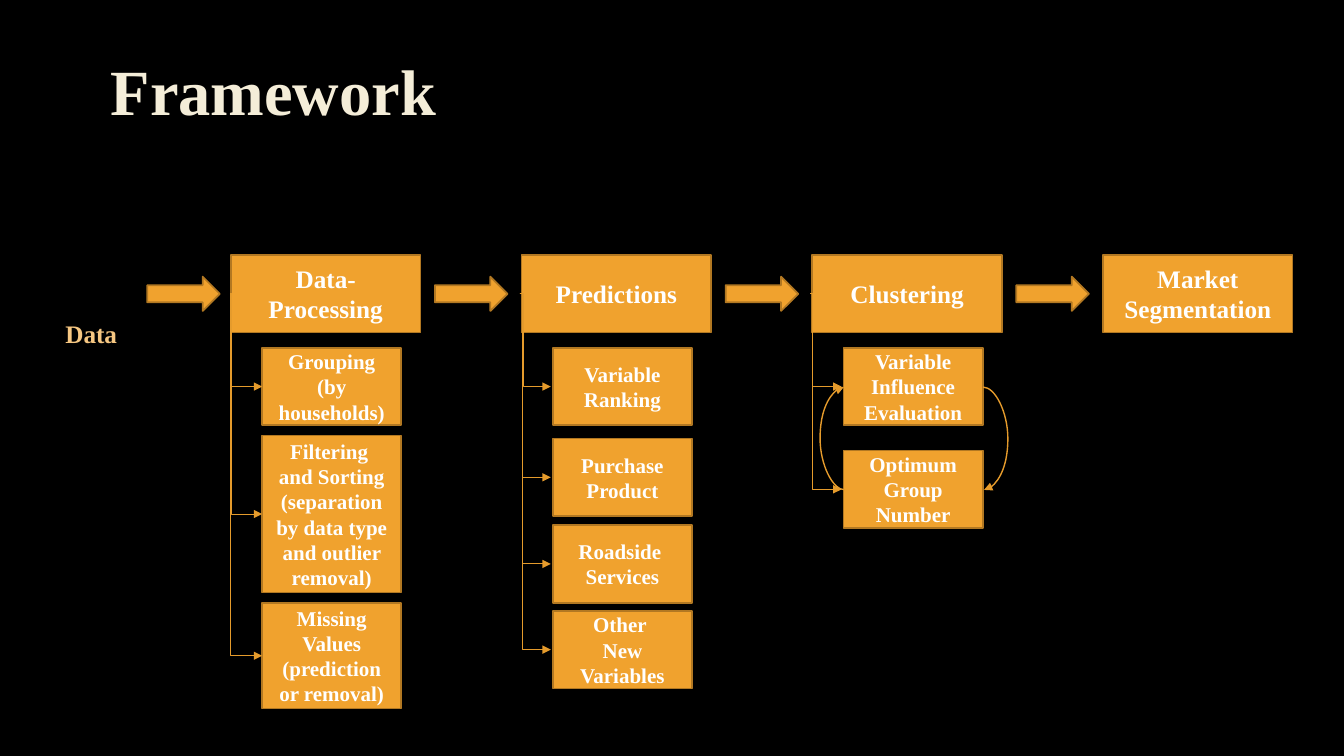
from lxml import etree
from pptx import Presentation
from pptx.dml.color import RGBColor
from pptx.enum.shapes import MSO_CONNECTOR, MSO_SHAPE
from pptx.enum.text import MSO_ANCHOR, PP_ALIGN
from pptx.oxml.ns import qn
from pptx.util import Inches, Pt

FONT = "Times New Roman"
AMBER, BROWN, LINE = "F0A22E", "B27822", "E59B2C"
STAGE_TOP, STAGE_WIDTH, STAGE_HEIGHT = 2.53, 1.88, 0.77
STAGE_LEFT, STAGE_PITCH = 2.29, (10.94 - 2.29) / 3
STEP_INDENT, STEP_WIDTH = 0.31, 1.38
ARROW_WIDTH, ARROW_HEIGHT = 0.72, 0.34

# Each stage: name, gap before it, connector nudge, connector bends, steps (text, top, height).
STAGES = [
    ("Data-Processing", 0.83, 0, [0.02, 0.02, -0.02], [
        ("Grouping (by households)", 3.45, 0.77),
        ("Filtering \vand Sorting (separation by data type and outlier removal)", 4.32, 1.56),
        ("Missing Values (prediction or removal)", 5.98, 1.05)]),
    ("Predictions", 0.86, 0.02, [0.13, 0.1, 0.1, 0.1], [
        ("Variable Ranking", 3.45, 0.77),
        ("Purchase Product", 4.35, 0.77),
        ("Roadside \vServices", 5.21, 0.77),
        ("Other \vNew Variables", 6.06, 0.77)]),
    ("Clustering", 0.86, 0.02, [0.07, 0.07], [
        ("Variable Influence\vEvaluation", 3.45, 0.77),
        ("Optimum\vGroup\vNumber", 4.47, 0.77)]),
    ("Market Segmentation", 0.86, 0, [], []),
]


def color(value):
    """Turn a hex string into a colour."""
    return RGBColor.from_string(value)


def write(shape, text, size, ink, align):
    """Put one bold paragraph into a shape and return it."""
    frame = shape.text_frame
    frame.word_wrap = True
    paragraph = frame.paragraphs[0]
    paragraph.text = text
    paragraph.alignment = align
    font = paragraph.font
    font.name, font.size, font.bold = FONT, Pt(size), True
    font.color.rgb = color(ink)
    return paragraph


def add_label(page, left, top, width, height, text, size, ink, align):
    """Add a text box and return it with its paragraph."""
    box = page.shapes.add_textbox(Inches(left), Inches(top), Inches(width), Inches(height))
    return box, write(box, text, size, ink, align)


def add_block(page, kind, left, top, width, height):
    """Add an amber shape with a brown outline."""
    block = page.shapes.add_shape(kind, Inches(left), Inches(top), Inches(width), Inches(height))
    block.shadow.inherit = False
    block.fill.solid()
    block.fill.fore_color.rgb = color(AMBER)
    block.line.color.rgb = color(BROWN)
    block.line.width = Pt(1.25)
    return block


def add_card(page, left, top, width, height, text, size):
    """Add a rectangle with centred white text."""
    card = add_block(page, MSO_SHAPE.RECTANGLE, left, top, width, height)
    card.text_frame.vertical_anchor = MSO_ANCHOR.MIDDLE
    write(card, text, size, "FFFFFF", PP_ALIGN.CENTER)


def add_link(page, kind, start, end, bend, weight):
    """Add a connector that bends at a share of its width and ends in an arrowhead."""
    link = page.shapes.add_connector(kind, *map(Inches, start + end))
    link.line.color.rgb = color(LINE)
    link.line.width = Pt(weight)
    properties = link._element.spPr
    etree.SubElement(properties.find(qn("a:ln")), qn("a:tailEnd"), type="triangle")
    etree.SubElement(properties, qn("a:effectLst"))
    guides = properties.find(qn("a:prstGeom")).find(qn("a:avLst"))
    etree.SubElement(guides, qn("a:gd"), name="adj1", fmla=f"val {round(bend * 100000)}")


def add_stage(page, left, name, gap, nudge, bends, steps):
    """Draw one stage: incoming arrow, header, steps and their connectors."""
    middle = STAGE_TOP + STAGE_HEIGHT / 2
    add_block(page, MSO_SHAPE.RIGHT_ARROW, left - gap, middle - ARROW_HEIGHT / 2,
              ARROW_WIDTH, ARROW_HEIGHT)
    add_card(page, left, STAGE_TOP, STAGE_WIDTH, STAGE_HEIGHT, name, 18)
    for (text, top, height), bend in zip(steps, bends):
        add_card(page, left + STEP_INDENT, top, STEP_WIDTH, height, text, 15)
        start = (left - nudge, middle)
        end = (left - nudge + STEP_INDENT, top + height / 2)
        add_link(page, MSO_CONNECTOR.ELBOW, start, end, bend, 0.75)


def add_cycle(page, left, right, upper, lower):
    """Draw the two curved arrows that loop between the clustering steps."""
    for start, end in [((right, upper), (right + 0.01, lower)),
                       ((left + 0.01, lower), (left, upper))]:
        add_link(page, MSO_CONNECTOR.CURVE, start, end, 25, 1)


def add_framework(page):
    """Build the framework slide."""
    page.background.fill.solid()
    page.background.fill.fore_color.rgb = color("000000")
    title, paragraph = add_label(page, 1, 0.25, 11.32, 1.38, "Framework", 46, "F4EDD8",
                                 PP_ALIGN.LEFT)
    title.text_frame.vertical_anchor = MSO_ANCHOR.MIDDLE
    paragraph.line_spacing = 0.9
    add_label(page, 0.44, 3.11, 0.93, 0.4, "Data", 18, "F6C782", PP_ALIGN.CENTER)
    for index, stage in enumerate(STAGES):
        add_stage(page, STAGE_LEFT + index * STAGE_PITCH, *stage)
    add_cycle(page, 8.37, 9.75, 3.84, 4.86)


def main():
    """Create the deck and save it."""
    deck = Presentation()
    deck.slide_width, deck.slide_height = Inches(13.33), Inches(7.5)
    add_framework(deck.slides.add_slide(deck.slide_layouts[6]))
    deck.save("out.pptx")


if __name__ == "__main__":
    main()
